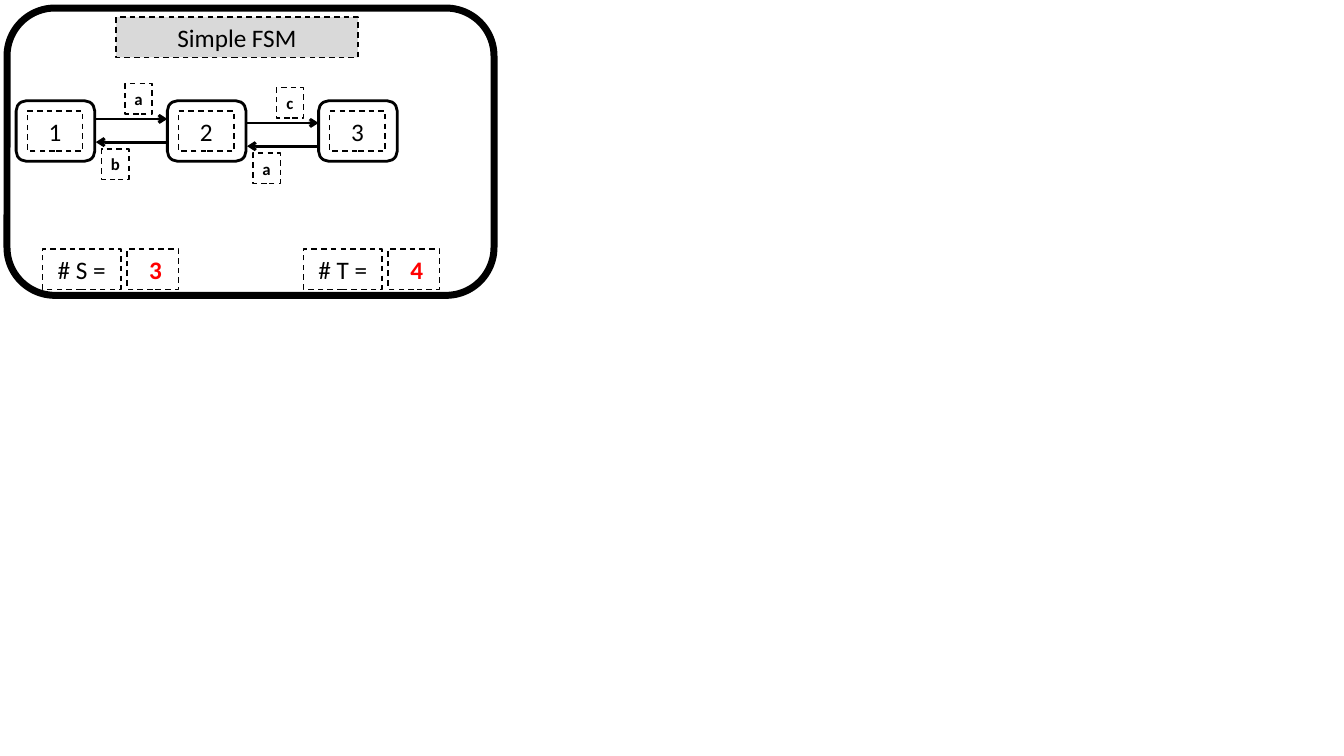
from lxml.etree import SubElement
from pptx import Presentation
from pptx.dml.color import RGBColor
from pptx.enum.dml import MSO_LINE
from pptx.enum.shapes import MSO_CONNECTOR, MSO_SHAPE
from pptx.enum.text import MSO_ANCHOR, MSO_AUTO_SIZE, PP_ALIGN
from pptx.oxml.ns import qn
from pptx.util import Pt

SCALE = 9144  # EMU in one px, 100 px to the inch
PITCH = 150
BLACK, RED, GREY = "000000", "FF0000", "D9D9D9"


def px(*sizes):
    return [size * SCALE for size in sizes]


def color(code):
    return RGBColor.from_string(code)


def outline(item, width, dash=None):
    item.line.color.rgb = color(BLACK)
    item.line.width = Pt(width)
    if dash:
        item.line.dash_style = dash


def label(box, text, size=18, bold=False, ink=BLACK):
    """Give a text shape its dashed border and one centred line."""
    outline(box, 1, MSO_LINE.DASH)
    frame = box.text_frame
    frame.text = text
    frame.auto_size = MSO_AUTO_SIZE.NONE
    frame.word_wrap = False
    frame.vertical_anchor = MSO_ANCHOR.MIDDLE
    line = frame.paragraphs[0]
    line.alignment = PP_ALIGN.CENTER
    font = line.font
    font.name, font.size, font.bold = "Calibri", Pt(size), bold
    font.color.rgb = color(ink)


def note(shapes, box, text, **style):
    label(shapes.add_textbox(*px(*box)), text, **style)


def rounded(shapes, box, width):
    shape = shapes.add_shape(MSO_SHAPE.ROUNDED_RECTANGLE, *px(*box))
    shape.shadow.inherit = False
    shape.fill.background()
    outline(shape, width)


def arrow(shapes, start, end, y):
    link = shapes.add_connector(MSO_CONNECTOR.STRAIGHT, *px(start, y, end, y))
    outline(link, 2)
    props = link.element.spPr
    SubElement(props.find(qn("a:ln")), qn("a:tailEnd"), type="arrow")
    SubElement(props, qn("a:effectLst"))


def heading(slide, box):
    title = slide.shapes.title
    title.left, title.top, title.width, title.height = px(*box)
    title.fill.solid()
    title.fill.fore_color.rgb = color(GREY)
    label(title, "Simple FSM")


def state(shapes, left, top, name):
    group = shapes.add_group_shape().shapes
    rounded(group, (left, top, 78, 60), 2)
    note(group, (left + 11, top + 10, 55, 40), name)


def moves(shapes, left, top, ahead, back):
    """Draw the arrows to and from the next state, with their inputs."""
    arrow(shapes, left, left + 71, top)
    arrow(shapes, left + 71, left, top + 23)
    note(shapes, (left + 29, top - 35, 27, 30), ahead, size=12, bold=True)
    note(shapes, (left + 6, top + 30, 27, 30), back, size=12, bold=True)


def count(shapes, left, top, name, value):
    note(shapes, (left, top, 78, 40), name)
    note(shapes, (left + 84, top, 51, 40), value, bold=True, ink=RED)


def machine(slide, left, top):
    shapes = slide.shapes
    rounded(shapes, (left, top, 483, 285), 5)
    heading(slide, (left + 108, top + 9, 240, 40))
    for i, name in enumerate("123"):
        state(shapes, left + 9 + i * PITCH, top + 92, name)
    for i, (ahead, back) in enumerate(("ab", "ca")):
        moves(shapes, left + 88 + i * PITCH, top + 110 + i * 4, ahead, back)
    count(shapes, left + 35, top + 239, " # S = ", " 3")
    count(shapes, left + 294, top + 239, " # T = ", " 4")


def main():
    deck = Presentation()
    deck.slide_width, deck.slide_height = px(1333, 750)
    slide = deck.slides.add_slide(deck.slide_layouts.get_by_name("Title Only"))
    machine(slide, 7, 8)
    deck.save("out.pptx")


if __name__ == "__main__":
    main()
